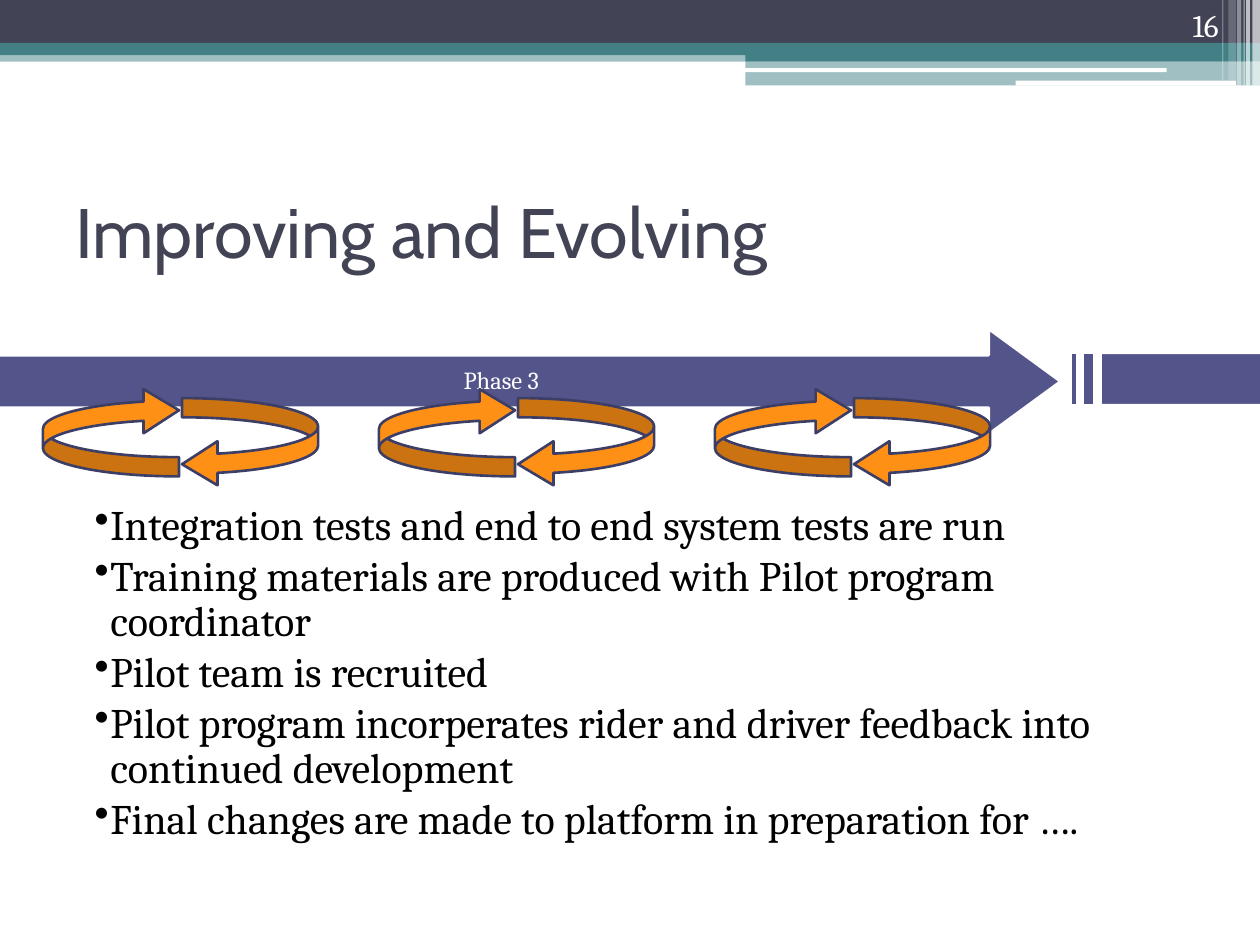
import pptx
import pptx.dml.color
import pptx.enum.shapes
import pptx.enum.text
import pptx.oxml
import pptx.oxml.ns
import pptx.util

Pt = pptx.util.Pt
SHAPE = pptx.enum.shapes.MSO_SHAPE
ALIGN = pptx.enum.text.PP_ALIGN
ANCHOR = pptx.enum.text.MSO_ANCHOR

COLORS = {
    "dark": "424456",
    "teal": "438086",
    "white": "FFFFFF",
    "black": "000000",
    "purple": "53548A",
    "orange": "FE9016",
    "outline": "3D3E66",
}

BANDS = [
    (0, 28.8, 720, 6.5, "teal", 50),
    (0, 0, 720, 24.5, "dark", 100),
    (0, 24.5, 720, 7, "teal", 100),
    (426, 28, 294, 7, "teal", 100),
    (426, 34.9, 294, 14, "teal", 50),
]
ROUNDED_LINES = [(425.5, 39, 241.2, 2.2), (580.3, 46.1, 126, 2.9)]
STRIPES = [
    (715.7, 4.3, 49, 65),
    (712.1, 2.2, 49, 65),
    (710.6, 0.7, 49, 60),
    (707, 2.2, 49, 40),
    (702, 4.3, 46, 20),
    (698.4, 0.7, 46, 30),
]
BULLETS = [
    "Integration tests and end to end system tests are run",
    "Training materials are produced with Pilot program coordinator",
    "Pilot team is recruited",
    "Pilot program incorperates rider and driver feedback into continued development",
    "Final changes are made to platform in preparation for ….",
]


def rgb(name):
    return pptx.dml.color.RGBColor.from_string(COLORS[name])


def style_shape(shape, fill, line=None, opacity=100):
    shape.shadow.inherit = False
    shape.fill.solid()
    shape.fill.fore_color.rgb = rgb(fill)
    if opacity < 100:
        color = shape.fill._xPr.find(".//" + pptx.oxml.ns.qn("a:srgbClr"))
        alpha = pptx.oxml.parse_xml(
            f'<a:alpha {pptx.oxml.ns.nsdecls("a")} val="{opacity * 1000}"/>')
        color.append(alpha)
    if line:
        shape.line.color.rgb = rgb(line)
        shape.line.width = Pt(1.5)
    else:
        shape.line.fill.background()


def add_block(slide, left, top, width, height, fill, opacity=100, kind=SHAPE.RECTANGLE):
    shape = slide.shapes.add_shape(kind, Pt(left), Pt(top), Pt(width), Pt(height))
    style_shape(shape, fill, opacity=opacity)


def add_run(paragraph, text, size, color, font="Cambria"):
    run = paragraph.add_run()
    run.text = text
    run.font.name = font
    run.font.size = Pt(size)
    run.font.color.rgb = rgb(color)


def add_text_box(slide, left, top, width, height, anchor=ANCHOR.TOP):
    frame = slide.shapes.add_textbox(Pt(left), Pt(top), Pt(width), Pt(height)).text_frame
    frame.word_wrap = True
    frame.vertical_anchor = anchor
    return frame


def add_striped_arrow(slide, left, top, right, head, height=60):
    upper, middle, lower = (top + height * part for part in (0.25, 0.5, 0.75))
    neck = right - head

    def stripe(start, end):
        x1, x2 = left + head * start, left + head * end
        return [(x1, upper), (x2, upper), (x2, lower), (x1, lower)]

    body = left + head * 5 / 16
    contours = [
        stripe(0, 1 / 16),
        stripe(1 / 8, 1 / 4),
        [(body, upper), (neck, upper), (neck, top), (right, middle),
         (neck, top + height), (neck, lower), (body, lower)],
    ]
    builder = None
    for contour in contours:
        points = [(Pt(x), Pt(y)) for x, y in contour]
        if builder is None:
            builder = slide.shapes.build_freeform(*points[0])
        else:
            builder.move_to(*points[0])
        builder.add_line_segments(points[1:], close=True)
    shape = builder.convert_to_shape()
    style_shape(shape, "purple", "white")
    return shape


def add_phase_label(shape, text):
    frame = shape.text_frame
    frame.word_wrap = True
    frame.vertical_anchor = ANCHOR.MIDDLE
    frame.margin_left = Pt(13.7)
    frame.margin_top = frame.margin_right = frame.margin_bottom = Pt(16.5)
    paragraph = frame.paragraphs[0]
    paragraph.alignment = ALIGN.CENTER
    paragraph.line_spacing = 0.9
    add_run(paragraph, text, 14, "white")


def add_cycle(slide, left):
    for offset, top, rotation in ((0, 208.1, 270), (79.5, 213.8, 90)):
        shape = slide.shapes.add_shape(
            SHAPE.CURVED_DOWN_ARROW, Pt(left + offset), Pt(top), Pt(50.4), Pt(77.8))
        shape.rotation = rotation
        for index, value in enumerate((0.218, 0.831, 0.402)):
            shape.adjustments[index] = value
        style_shape(shape, "orange", "outline")


def add_bullets(slide, items):
    frame = add_text_box(slide, 54, 288, 616, 204)
    frame.margin_left = frame.margin_top = frame.margin_right = frame.margin_bottom = 0
    for index, item in enumerate(items):
        paragraph = frame.add_paragraph() if index else frame.paragraphs[0]
        properties = paragraph._p.get_or_add_pPr()
        properties.set("marL", str(Pt(9)))
        properties.set("indent", str(-Pt(9)))
        properties.append(pptx.oxml.parse_xml(
            f'<a:buChar {pptx.oxml.ns.nsdecls("a")} char="•"/>'))
        paragraph.line_spacing = 0.9
        paragraph.space_after = Pt(3.2)
        add_run(paragraph, item, 24, "black")


def add_header(slide):
    for band in BANDS:
        add_block(slide, *band)
    for line in ROUNDED_LINES:
        add_block(slide, *line, "white", kind=SHAPE.ROUNDED_RECTANGLE)
    for left, width, height, opacity in STRIPES:
        add_block(slide, left, 0, width, height, "white", opacity)


def main():
    presentation = pptx.Presentation()
    presentation.slide_width = Pt(720)
    presentation.slide_height = Pt(540)
    slide = presentation.slides.add_slide(presentation.slide_layouts[6])

    add_header(slide)
    title = add_text_box(slide, 36, 90, 648, 84, ANCHOR.MIDDLE)
    add_run(title.paragraphs[0], "Improving and Evolving", 40, "dark", "Cabin")
    number = add_text_box(slide, 643.7, 0, 59.8, 28.8, ANCHOR.BOTTOM)
    number.paragraphs[0].alignment = ALIGN.RIGHT
    add_run(number.paragraphs[0], "16", 18, "white")

    phase = add_striped_arrow(slide, -30.2, 188, 606, 41)
    add_phase_label(phase, "Phase 3")
    add_bullets(slide, BULLETS)
    add_striped_arrow(slide, 612, 186.6, 1134, 54)
    for index in range(3):
        add_cycle(slide, 38.2 + 192 * index)

    presentation.save("out.pptx")


if __name__ == "__main__":
    main()
